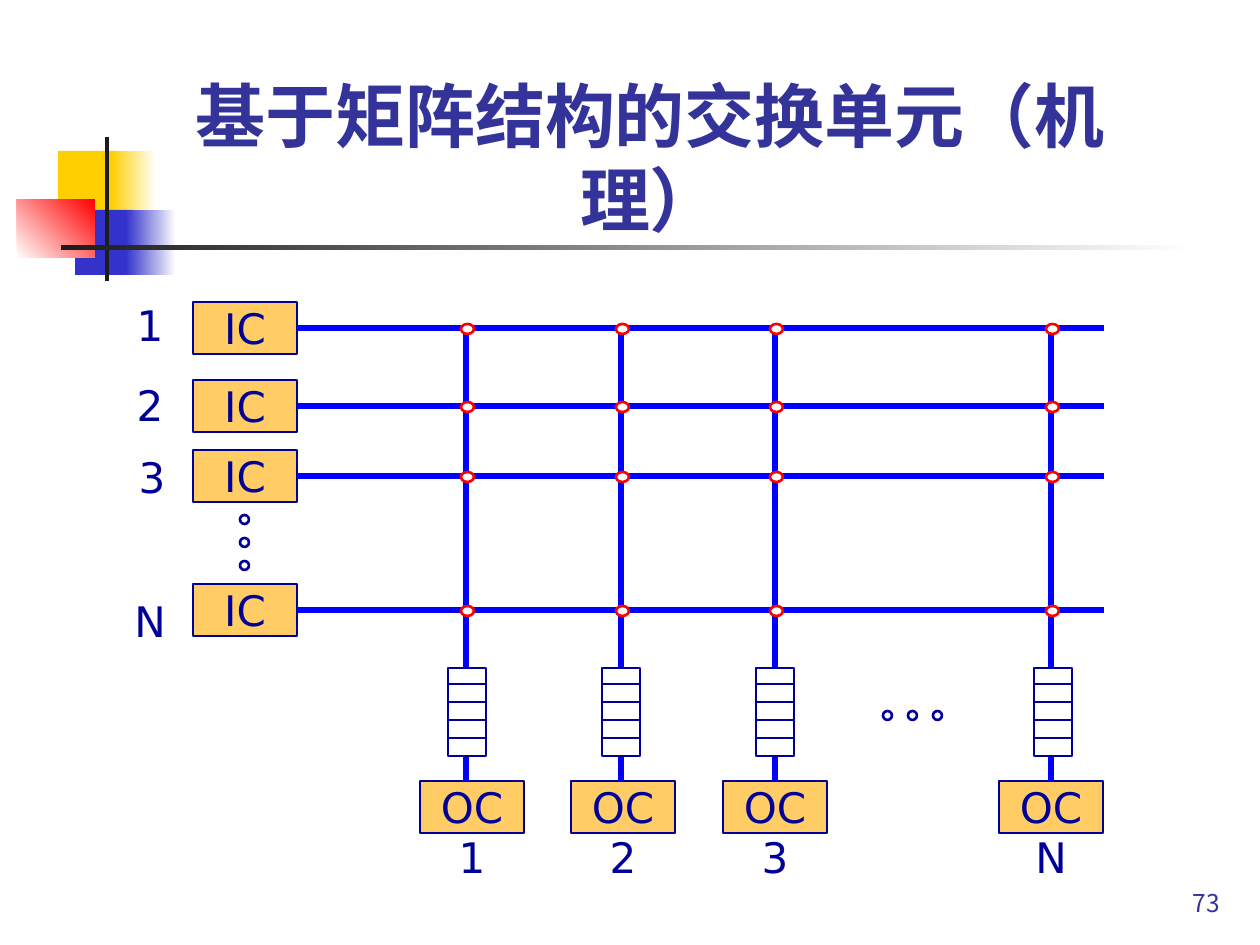
import pptx
import pptx.dml.color
import pptx.enum.shapes
import pptx.enum.text
import pptx.oxml.ns
import pptx.util
from lxml import etree

EMU_PER_PX = 914400 / 126
COLORS = {
    "white": "FFFFFF", "yellow": "FFCF01", "blue": "3333CC", "red": "FF0000",
    "black": "1C1C1C", "title": "333399", "navy": "000099",
    "orange": "FFCC66", "wire": "0000FF",
}
TITLE_FONT = "Noto Sans CJK JP"
LABEL_FONT = "DejaVu Sans"
SHAPES = pptx.enum.shapes.MSO_SHAPE
ALIGN = pptx.enum.text.PP_ALIGN
ANCHOR = pptx.enum.text.MSO_ANCHOR

BOX_W, BOX_H = 104, 52
IC_LEFT, OC_TOP = 193, 781
WIRE_RIGHT = 1104
BUFFER_TOP, BUFFER_W, BUFFER_H = 668, 38, 88
# Input rows: label, label left, label top, controller top
ROWS = [("1", 121, 299, 302), ("2", 121, 379, 380),
        ("3", 123, 451, 450), ("N", 121, 595, 584)]
# Output columns: label, then centres of wire, buffer and controller
COLUMNS = [("1", 466, 467, 472), ("2", 621, 621, 623),
           ("3", 775, 775, 775), ("N", 1051, 1053, 1051)]


def px(length):
    return pptx.util.Emu(round(length * EMU_PER_PX))


def rgb(name):
    return pptx.dml.color.RGBColor.from_string(COLORS[name])


def add_block(slide, kind, left, top, width, height, fill, line=None):
    block = slide.shapes.add_shape(kind, px(left), px(top), px(width), px(height))
    block.shadow.inherit = False
    block.fill.solid()
    block.fill.fore_color.rgb = rgb(fill)
    if line:
        block.line.color.rgb = rgb(line)
        block.line.width = pptx.util.Pt(1.5)
    else:
        block.line.fill.background()
    return block


def add_fade(slide, left, top, width, height, start, end, angle=0):
    fade = add_block(slide, SHAPES.RECTANGLE, left, top, width, height, start)
    fade.fill.gradient()
    fade.fill.gradient_angle = angle
    for stop, color in zip(fade.fill.gradient_stops, (start, end)):
        stop.color.rgb = rgb(color)


def set_text(shape, text, size, font, color, align, anchor, wrap, bold=False):
    frame = shape.text_frame
    frame.word_wrap = wrap
    frame.vertical_anchor = anchor
    paragraph = frame.paragraphs[0]
    paragraph.text = text
    paragraph.alignment = align
    paragraph.font.size = pptx.util.Pt(size)
    paragraph.font.bold = bold
    paragraph.font.color.rgb = rgb(color)
    paragraph.font.name = font
    # East Asian characters take their own typeface element
    latin = paragraph._p.find(".//" + pptx.oxml.ns.qn("a:latin"))
    east_asian = etree.Element(pptx.oxml.ns.qn("a:ea"), typeface=font)
    latin.addnext(east_asian)


def add_label(slide, text, left, top, width, fill="white", line=None):
    label = add_block(slide, SHAPES.RECTANGLE, left, top, width, BOX_H, fill, line)
    set_text(label, text, 24, LABEL_FONT, "navy", ALIGN.CENTER, ANCHOR.MIDDLE, False)
    return label


def add_controller(slide, text, left, top):
    return add_label(slide, text, left, top, BOX_W, "orange", "navy")


def add_line(slide, x1, y1, x2, y2, color, width):
    line = slide.shapes.add_connector(
        pptx.enum.shapes.MSO_CONNECTOR.STRAIGHT, px(x1), px(y1), px(x2), px(y2))
    line.line.color.rgb = rgb(color)
    line.line.width = pptx.util.Pt(width)
    etree.SubElement(line._element.spPr, pptx.oxml.ns.qn("a:effectLst"))
    return line


def add_dot(slide, left, top, width, height, line):
    add_block(slide, SHAPES.OVAL, left, top, width, height, "white", line)


def add_buffer(slide, center):
    left = center - BUFFER_W // 2
    add_block(slide, SHAPES.RECTANGLE, left, BUFFER_TOP, BUFFER_W, BUFFER_H,
              "white", "navy")
    for i in range(4):
        y = BUFFER_TOP + 16 + 18 * i
        add_line(slide, left, y, left + BUFFER_W, y, "navy", 1.5)


def add_textbox(slide, text, left, top, width, height, size, align,
                bold=False, margin=13):
    box = slide.shapes.add_textbox(px(left), px(top), px(width), px(height))
    set_text(box, text, size, TITLE_FONT, "title", align, ANCHOR.BOTTOM, True, bold)
    box.text_frame.margin_left = box.text_frame.margin_right = px(margin)


def add_decoration(slide):
    add_block(slide, SHAPES.RECTANGLE, 58, 151, 60, 66, "yellow")
    add_fade(slide, 111, 151, 45, 66, "yellow", "white")
    add_block(slide, SHAPES.RECTANGLE, 75, 210, 58, 65, "blue")
    add_fade(slide, 126, 210, 50, 65, "blue", "white")
    add_fade(slide, 17, 199, 78, 59, "white", "red", 45)
    add_block(slide, SHAPES.RECTANGLE, 105, 137, 4, 144, "black")
    add_fade(slide, 61, 245, 1134, 5, "black", "white")


def add_matrix(slide):
    # Backing panel
    add_block(slide, SHAPES.RECTANGLE, 77, 291, 1109, 601, "white")

    # Labels and controllers
    for text, left, top, _ in ROWS:
        add_label(slide, text, left, top, 58)
    for text, _, _, center in COLUMNS:
        add_label(slide, text, center - BOX_W // 2, 831, BOX_W)
    inputs = [add_controller(slide, "IC", IC_LEFT, row[3]) for row in ROWS]
    outputs = [add_controller(slide, "OC", column[3] - BOX_W // 2, OC_TOP)
               for column in COLUMNS]

    # Wires
    row_ys = [row[3] + BOX_H // 2 for row in ROWS]
    for y, controller in zip(row_ys, inputs):
        wire = add_line(slide, IC_LEFT + BOX_W, y, WIRE_RIGHT, y, "wire", 3)
        wire.begin_connect(controller, 3)
    for (_, x, _, center), controller in zip(COLUMNS, outputs):
        wire = add_line(slide, x, row_ys[0], x, OC_TOP, "wire", 3)
        if x == center:
            wire.end_connect(controller, 0)

    # Buffers and crosspoints
    for _, x, buffer_center, _ in COLUMNS:
        add_buffer(slide, buffer_center)
        for y in row_ys:
            add_dot(slide, x - 5, y - 4, 13, 10, "red")

    # Ellipsis dots
    for i in range(3):
        add_dot(slide, 883 + 25 * i, 711, 9, 9, "navy")
        add_dot(slide, 240, 515 + 23 * i, 9, 9, "navy")


def main():
    presentation = pptx.Presentation()
    presentation.slide_width = px(1260)
    presentation.slide_height = px(945)
    slide = presentation.slides.add_slide(presentation.slide_layouts[6])
    add_decoration(slide)
    add_textbox(slide, "73", 971, 861, 262, 63, 14, ALIGN.RIGHT)
    add_textbox(slide, "基于矩阵结构的交换单元（机理）",
                113, 45, 1074, 202, 40, ALIGN.CENTER, True, 40)
    add_matrix(slide)
    presentation.save("out.pptx")


if __name__ == "__main__":
    main()
